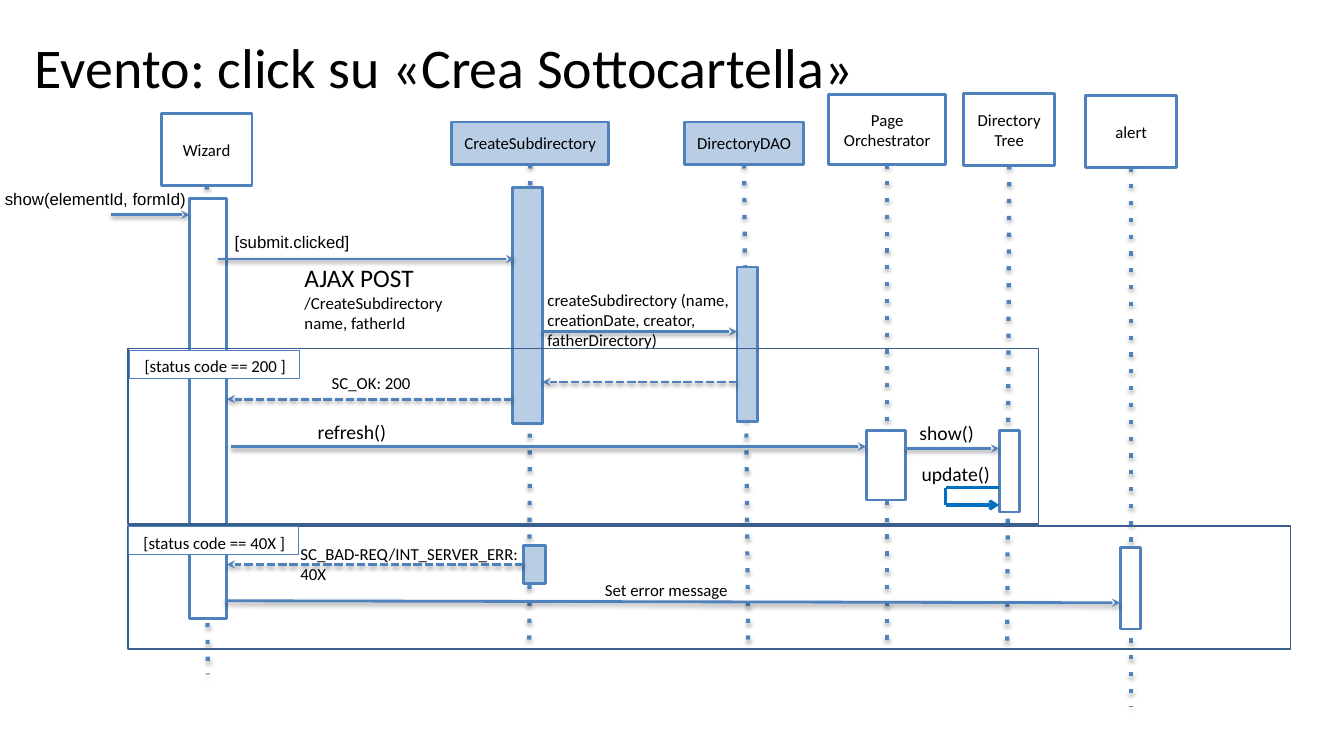
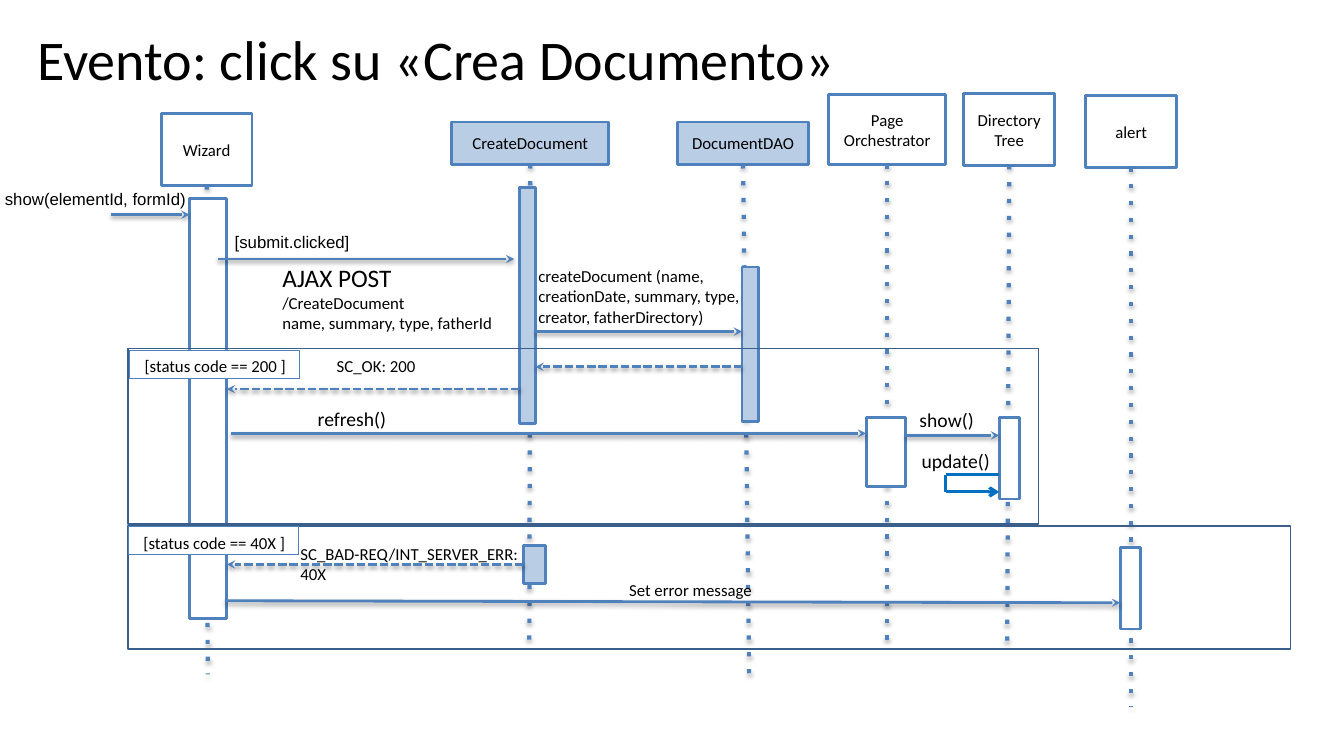
from dataclasses import dataclass
from itertools import pairwise

from lxml import etree
from pptx import Presentation, util as u
from pptx.dml import color
from pptx.enum import shapes, text
from pptx.oxml import ns


@dataclass(frozen=True)
class Theme:
    ink: str = "000000"
    paper: str = "FFFFFF"
    server: str = "B9CDE5"
    outline: str = "4F81BD"
    frame: str = "3A5F8C"
    self_call: str = "0070C0"
    font: str = "Calibri"
    event_font: str = "Arial"
    title: float = 40
    request: float = 18
    call: float = 14
    body: float = 12
    stroke: float = 2
    self_stroke: float = 2.25
    lifeline: float = 3
    frame_stroke: float = 1
    guard_stroke: float = 0.25


THEME = Theme()
CENTER = text.PP_ALIGN.CENTER
LEFT = text.PP_ALIGN.LEFT
MIDDLE = text.MSO_ANCHOR.MIDDLE
TOP = text.MSO_ANCHOR.TOP
BOTTOM_SITE, LEFT_SITE = 2, 1


@dataclass(frozen=True)
class Area:
    left: float
    top: float
    width: float
    height: float

    @property
    def right(self) -> float:
        return self.left + self.width

    def lengths(self) -> list:
        return [u.Inches(v) for v in (self.left, self.top, self.width, self.height)]


@dataclass(frozen=True)
class Participant:
    name: str
    area: Area
    end: tuple[float, float]
    fill: str = THEME.paper


@dataclass(frozen=True)
class Box:
    area: Area
    fill: str | None = THEME.paper
    line: str = THEME.outline
    stroke: float = THEME.stroke


@dataclass(frozen=True)
class Label:
    area: Area
    lines: tuple[str, ...]
    sizes: tuple[float, ...] = (THEME.body,)
    font: str = THEME.font
    align: text.PP_ALIGN = LEFT
    anchor: text.MSO_ANCHOR = TOP
    inset: tuple[float, float] = (0.12, 0.06)
    wrap: bool = True


@dataclass(frozen=True)
class Message:
    start: tuple[float, float]
    end: tuple[float, float]
    dash: str | None = None


@dataclass(frozen=True)
class Scenario:
    title: str
    title_area: Area
    service: str
    dao: str
    dao_area: Area
    dao_end: tuple[float, float]
    service_bar: Area
    dao_bar: Area
    parameters: str
    request_area: Area
    call: str
    call_area: Area
    dao_reply_y: float
    service_reply_y: float
    ok_area: Area
    refresh_y: float
    error_left: float


# Text and outlines
def write(frame, label: Label) -> None:
    side, edge = label.inset
    settings = {
        "word_wrap": label.wrap, "vertical_anchor": label.anchor,
        "margin_left": u.Inches(side), "margin_right": u.Inches(0.1),
        "margin_top": u.Inches(edge), "margin_bottom": u.Inches(edge),
    }
    for name, value in settings.items():
        setattr(frame, name, value)
    for index, line in enumerate(label.lines):
        paragraph = frame.paragraphs[0] if index == 0 else frame.add_paragraph()
        paragraph.text = line
        paragraph.alignment = label.align
        size = label.sizes[min(index, len(label.sizes) - 1)]
        for run in paragraph.runs:
            for name, value in {"name": label.font, "size": u.Pt(size)}.items():
                setattr(run.font, name, value)
            run.font.color.rgb = color.RGBColor.from_string(THEME.ink)


def draw_label(slide, label: Label) -> None:
    write(slide.shapes.add_textbox(*label.area.lengths()).text_frame, label)


def draw_box(slide, box: Box, label: Label | None = None):
    rect = slide.shapes.add_shape(shapes.MSO_SHAPE.RECTANGLE, *box.area.lengths())
    rect.shadow.inherit = False
    if box.fill:
        rect.fill.solid()
        rect.fill.fore_color.rgb = color.RGBColor.from_string(box.fill)
    else:
        rect.fill.background()
    rect.line.color.rgb = color.RGBColor.from_string(box.line)
    rect.line.width = u.Pt(box.stroke)
    if label:
        write(rect.text_frame, label)
    return rect


# Lines and arrows
def draw_line(slide, start: tuple[float, float], end: tuple[float, float], *,
              line: str = THEME.outline, stroke: float = THEME.stroke,
              dash: str | None = None, arrow: str | None = None,
              shadow: tuple[float, int] | None = None):
    connector = slide.shapes.add_connector(
        shapes.MSO_CONNECTOR.STRAIGHT, *(u.Inches(v) for v in (*start, *end)))
    connector.line.color.rgb = color.RGBColor.from_string(line)
    connector.line.width = u.Pt(stroke)
    properties = connector._element.spPr
    outline = properties.find(ns.qn("a:ln"))
    if dash:
        etree.SubElement(outline, ns.qn("a:prstDash"), val=dash)
    if arrow:
        etree.SubElement(outline, ns.qn("a:tailEnd"), type=arrow)
    effects = etree.SubElement(properties, ns.qn("a:effectLst"))
    if shadow:
        distance, opacity = shadow
        outer = etree.SubElement(
            effects, ns.qn("a:outerShdw"), blurRad=str(u.Pt(3.1)),
            dist=str(u.Pt(distance)), dir="5400000", rotWithShape="0")
        tint = etree.SubElement(outer, ns.qn("a:srgbClr"), val=THEME.ink)
        etree.SubElement(tint, ns.qn("a:alpha"), val=str(opacity * 1000))
    return connector


def draw_message(slide, message: Message):
    return draw_line(slide, message.start, message.end, dash=message.dash,
                     arrow="stealth", shadow=(1.6, 38))


def draw_participant(slide, participant: Participant) -> None:
    area = participant.area
    head = draw_box(
        slide, Box(area, participant.fill),
        Label(area, (participant.name,), align=CENTER, anchor=MIDDLE, inset=(0.1, 0.06)))
    start = (area.left + area.width / 2, area.top + area.height)
    lifeline = draw_line(slide, start, participant.end, stroke=THEME.lifeline,
                         dash="dot", shadow=(1.8, 35))
    lifeline.begin_connect(head, BOTTOM_SITE)


# One sequence diagram
def draw_scenario(slide, scene: Scenario) -> None:
    service, dao, y = scene.service_bar, scene.dao_bar, scene.refresh_y
    wizard = Area(1.88, 1.97, 0.37, 4.17)
    orchestrator = Area(8.59, y - 0.16, 0.39, 0.69)
    tree = Area(9.91, y - 0.16, 0.2, 0.81)
    alert = Area(11.11, 5.43, 0.2, 0.81)
    error = Area(5.19, 5.41, 0.22, 0.38)

    draw_label(slide, Label(scene.title_area, (scene.title,), (THEME.title,),
                            align=CENTER, anchor=MIDDLE))

    # Participants with their lifelines
    for participant in (
        Participant("Wizard", Area(1.6, 1.13, 0.9, 0.71), (2.06, 6.69)),
        Participant(scene.service, Area(4.48, 1.21, 1.56, 0.42), (5.25, 6.37), THEME.server),
        Participant(scene.dao, scene.dao_area, scene.dao_end, THEME.server),
        Participant("Page\vOrchestrator", Area(8.22, 0.94, 1.16, 0.69), (8.8, 6.37)),
        Participant("Directory Tree", Area(9.56, 0.93, 0.9, 0.71), (9.99, 6.36)),
        Participant("alert", Area(10.77, 0.95, 0.9, 0.71), (11.22, 7.01)),
    ):
        draw_participant(slide, participant)

    # Activation bars
    for bar in (wizard, orchestrator, tree, alert):
        draw_box(slide, Box(bar))
    for bar in (service, dao):
        draw_box(slide, Box(bar, THEME.server))
    error_bar = draw_box(slide, Box(error, THEME.server))

    # Alternative frames with their guards
    for frame, guard_left, guard_top, guard in (
        (Area(1.27, 3.46, 9.03, 1.74), 1.28, 3.47, "[status code == 200 ]"),
        (Area(1.27, 5.22, 11.53, 1.22), 1.27, 5.22, "[status code == 40X ]"),
    ):
        draw_box(slide, Box(frame, None, THEME.frame, THEME.frame_stroke))
        tag = Area(guard_left, guard_top, 1.69, 0.28)
        draw_box(slide, Box(tag, stroke=THEME.guard_stroke),
                 Label(tag, (guard,), align=CENTER))

    # Messages
    for message in (
        Message((1.1, 2.13), (wizard.left, 2.13)),
        Message((2.16, 2.57), (5.1, 2.57)),
        Message((service.right, 3.29), (dao.left, 3.29)),
        Message((dao.left, scene.dao_reply_y), (service.right, scene.dao_reply_y), "sysDash"),
        Message((service.left, scene.service_reply_y),
                (wizard.right, scene.service_reply_y), "sysDash"),
        Message((2.29, y), (orchestrator.left, y)),
        Message((orchestrator.right, y + 0.02), (tree.left, y + 0.02)),
        Message((2.23, 5.96), (alert.left, 5.98)),
    ):
        draw_message(slide, message)
    error_reply = draw_message(
        slide, Message((error.left, 5.6), (wizard.right, 5.6), "sysDash"))
    error_reply.begin_connect(error_bar, LEFT_SITE)

    # Self call of the directory tree
    loop = [(9.91, y + 0.41), (9.38, y + 0.41), (9.38, y + 0.58), (9.91, y + 0.58)]
    for start, end in pairwise(loop):
        draw_line(slide, start, end, line=THEME.self_call, stroke=THEME.self_stroke,
                  arrow="arrow" if end == loop[-1] else None)

    # Message labels
    call_size = (THEME.call,)
    for label in (
        Label(Area(-0.05, 1.82, 2.02, 0.3), ("show(elementId, formId)",),
              font=THEME.event_font, inset=(0.1, 0.05)),
        Label(Area(2.23, 2.25, 1.4, 0.3), ("[submit.clicked]",),
              font=THEME.event_font, inset=(0.1, 0.05), wrap=False),
        Label(scene.request_area, ("AJAX POST", f"/{scene.service}", scene.parameters),
              (THEME.request, THEME.body)),
        Label(scene.call_area, (scene.call,)),
        Label(scene.ok_area, ("SC_OK: 200",)),
        Label(Area(2.48, y - 0.32, 2, 0.28), ("refresh()",), call_size, align=CENTER),
        Label(Area(9, y - 0.31, 1, 0.3), ("show()",), call_size),
        Label(Area(9.02, y + 0.09, 0.92, 0.29), ("update()",), call_size),
        Label(Area(2.86, 5.33, 2.41, 0.44), ("SC_BAD-REQ/INT_SERVER_ERR: 40X",)),
        Label(Area(scene.error_left, 5.69, 2.77, 0.28), ("Set error message",)),
    ):
        draw_label(slide, label)


SCENARIOS = (
    Scenario(
        title="Evento: click su «Crea Sottocartella»",
        title_area=Area(0.14, 0.19, 8.51, 0.93),
        service="CreateSubdirectory",
        dao="DirectoryDAO", dao_area=Area(6.79, 1.21, 1.18, 0.42), dao_end=(7.42, 6.36),
        service_bar=Area(5.08, 1.86, 0.3, 2.34), dao_bar=Area(7.31, 2.65, 0.2, 1.53),
        parameters="name, fatherId", request_area=Area(2.9, 2.54, 1.93, 0.98),
        call="createSubdirectory (name, creationDate, creator, fatherDirectory)",
        call_area=Area(5.31, 2.81, 2.15, 0.49),
        dao_reply_y=3.79, service_reply_y=3.96, ok_area=Area(3.17, 3.64, 1.14, 0.29),
        refresh_y=4.43, error_left=5.88),
    Scenario(
        title="Evento: click su «Crea Documento»",
        title_area=Area(0.2, 0.21, 8.22, 0.74),
        service="CreateDocument",
        dao="DocumentDAO", dao_area=Area(6.72, 1.21, 1.3, 0.42), dao_end=(7.43, 6.69),
        service_bar=Area(5.15, 1.86, 0.16, 2.34), dao_bar=Area(7.36, 2.65, 0.16, 1.53),
        parameters="name, summary, type, fatherId", request_area=Area(2.68, 2.54, 2.5, 0.81),
        call="createDocument (name, creationDate, summary, type, creator, fatherDirectory)",
        call_area=Area(5.22, 2.58, 2.24, 0.6),
        dao_reply_y=3.64, service_reply_y=3.86, ok_area=Area(3.22, 3.47, 1.14, 0.29),
        refresh_y=4.3, error_left=6.12),
)


def main() -> None:
    deck = Presentation()
    deck.slide_width, deck.slide_height = u.Inches(13.33), u.Inches(7.5)
    blank = deck.slide_layouts[6]
    for scene in SCENARIOS:
        draw_scenario(deck.slides.add_slide(blank), scene)
    deck.save("out.pptx")


if __name__ == "__main__":
    main()
